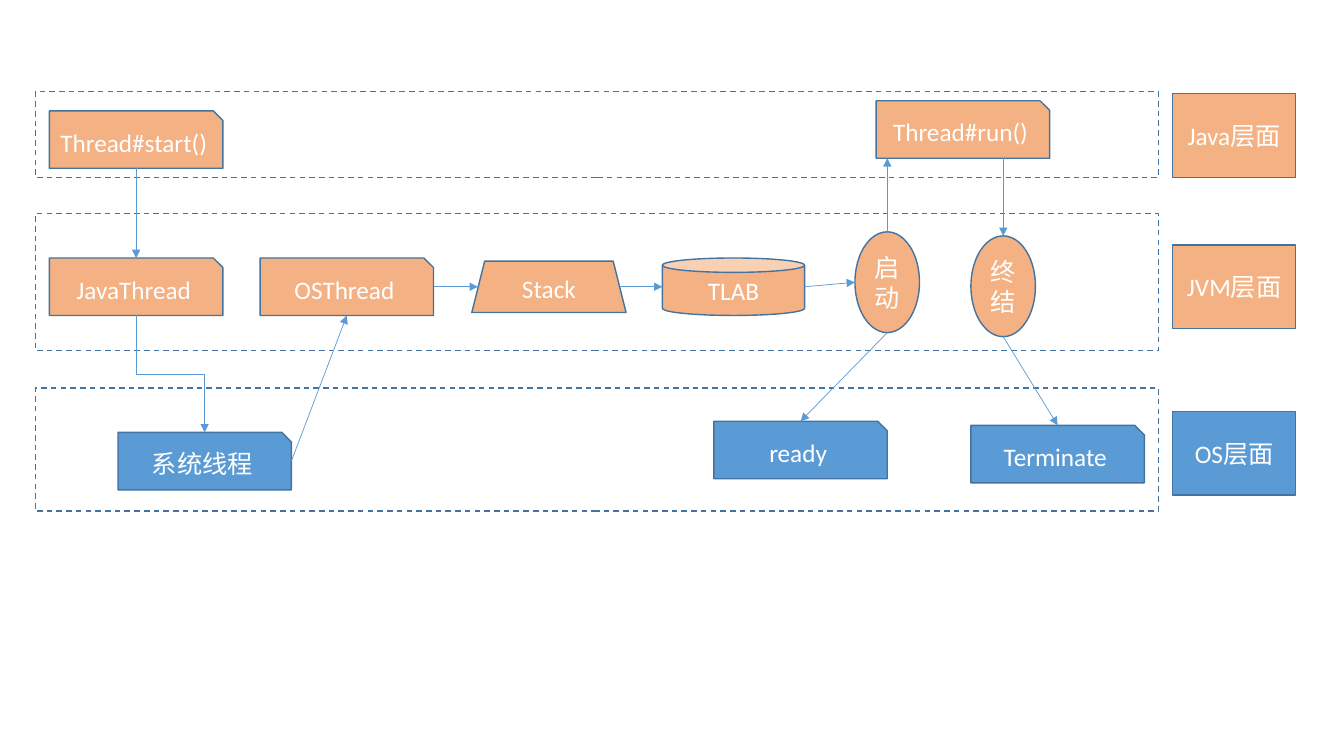
import dataclasses

import lxml.etree
import pptx
import pptx.dml.color
import pptx.enum.dml
import pptx.enum.shapes
import pptx.enum.text
import pptx.oxml.ns
import pptx.util

Inches = pptx.util.Inches
Kind = pptx.enum.shapes.MSO_SHAPE
Route = pptx.enum.shapes.MSO_CONNECTOR
qn = pptx.oxml.ns.qn


@dataclasses.dataclass(frozen=True)
class Theme:
    jvm: str = "F4B183"
    system: str = "5B9BD5"
    outline: str = "43739E"
    arrow: str = "5B9BD5"
    text: str = "FFFFFF"
    font: str = "Calibri"
    text_size: float = 18
    outline_width: float = 1
    arrow_width: float = 0.5


class Diagram:
    def __init__(self, slide, theme):
        self.slide = slide
        self.theme = theme

    def color(self, value):
        return pptx.dml.color.RGBColor.from_string(value)

    def outlined(self, kind, left, top, width, height):
        shape = self.slide.shapes.add_shape(
            kind, Inches(left), Inches(top), Inches(width), Inches(height))
        shape.shadow.inherit = False
        shape.line.color.rgb = self.color(self.theme.outline)
        shape.line.width = pptx.util.Pt(self.theme.outline_width)
        return shape

    def lane(self, top, height):
        frame = self.outlined(Kind.RECTANGLE, 0.35, top, 11.14, height)
        frame.fill.background()
        frame.line.dash_style = pptx.enum.dml.MSO_LINE.DASH

    def node(self, text, kind, left, top, width, height, fill):
        shape = self.outlined(kind, left, top, width, height)
        shape.fill.solid()
        shape.fill.fore_color.rgb = self.color(fill)
        shape.text_frame.vertical_anchor = pptx.enum.text.MSO_ANCHOR.MIDDLE
        paragraph = shape.text_frame.paragraphs[0]
        paragraph.alignment = pptx.enum.text.PP_ALIGN.CENTER
        run = paragraph.add_run()
        run.text = text
        run.font.name = self.theme.font
        run.font.size = pptx.util.Pt(self.theme.text_size)
        run.font.color.rgb = self.color(self.theme.text)
        return shape

    def card(self, text, left, top, fill):
        return self.node(text, Kind.SNIP_1_RECTANGLE, left, top, 1.72, 0.57, fill)

    def state(self, text, left, top):
        return self.node(text, Kind.OVAL, left, top, 0.64, 1, self.theme.jvm)

    def level(self, text, top, fill):
        self.node(text, Kind.RECTANGLE, 11.63, top, 1.22, 0.83, fill)

    def arrow(self, start, end, route=Route.STRAIGHT):
        connector = self.slide.shapes.add_connector(route, *start, *end)
        connector.line.color.rgb = self.color(self.theme.arrow)
        connector.line.width = pptx.util.Pt(self.theme.arrow_width)
        line = connector.line._get_or_add_ln()
        lxml.etree.SubElement(line, qn("a:tailEnd"), type="triangle")
        lxml.etree.SubElement(connector._element.spPr, qn("a:effectLst"))
        return connector

    def step_down(self, start, end):
        middle_x, middle_y = (start[0] + end[0]) // 2, (start[1] + end[1]) // 2
        half_run, half_drop = (end[0] - start[0]) // 2, (end[1] - start[1]) // 2
        connector = self.arrow((middle_x + half_drop, middle_y - half_run),
                               (middle_x - half_drop, middle_y + half_run), Route.ELBOW)
        connector._element.spPr.find(qn("a:xfrm")).set("rot", "16200000")


def top_of(shape):
    return shape.left + shape.width // 2, shape.top


def bottom_of(shape):
    return shape.left + shape.width // 2, shape.top + shape.height


def left_of(shape, inset=0):
    return shape.left + Inches(inset), shape.top + shape.height // 2


def right_of(shape, inset=0):
    return shape.left + shape.width - Inches(inset), shape.top + shape.height // 2


def main():
    presentation = pptx.Presentation()
    presentation.slide_width = Inches(13.33)
    presentation.slide_height = Inches(7.5)
    slide = presentation.slides.add_slide(presentation.slide_layouts[6])
    theme = Theme()
    diagram = Diagram(slide, theme)

    for top, height in ((0.91, 0.85), (2.12, 1.36), (3.85, 1.22)):
        diagram.lane(top, height)
    for text, top, fill in (("Java层面", 0.93, theme.jvm),
                            ("JVM层面", 2.43, theme.jvm),
                            ("OS层面", 4.08, theme.system)):
        diagram.level(text, top, fill)

    thread_start = diagram.card("Thread#start()", 0.49, 1.1, theme.jvm)
    thread_run = diagram.card("Thread#run()", 8.69, 1, theme.jvm)
    java_thread = diagram.card("JavaThread", 0.49, 2.56, theme.jvm)
    os_thread = diagram.card("OSThread", 2.58, 2.56, theme.jvm)
    stack = diagram.node("Stack", Kind.TRAPEZOID, 4.68, 2.59, 1.53, 0.51, theme.jvm)
    tlab = diagram.node("TLAB", Kind.CAN, 6.57, 2.56, 1.41, 0.57, theme.jvm)
    launch = diagram.state("启动", 8.48, 2.3)
    finish = diagram.state("终结", 9.63, 2.34)
    system_thread = diagram.card("系统线程", 1.17, 4.29, theme.system)
    ready = diagram.card("ready", 7.08, 4.18, theme.system)
    terminate = diagram.card("Terminate", 9.63, 4.22, theme.system)

    slant = 0.06
    run_bottom = bottom_of(thread_run)[1]
    for start, end in (
        (bottom_of(thread_start), top_of(java_thread)),
        (right_of(system_thread), bottom_of(os_thread)),
        (right_of(os_thread), left_of(stack, slant)),
        (right_of(stack, slant), left_of(tlab)),
        (right_of(tlab), left_of(launch)),
        (bottom_of(launch), top_of(ready)),
        (top_of(launch), (top_of(launch)[0], run_bottom)),
        ((top_of(finish)[0], run_bottom), top_of(finish)),
        (bottom_of(finish), top_of(terminate)),
    ):
        diagram.arrow(start, end)
    diagram.step_down(bottom_of(java_thread), top_of(system_thread))

    presentation.save("out.pptx")


if __name__ == "__main__":
    main()
